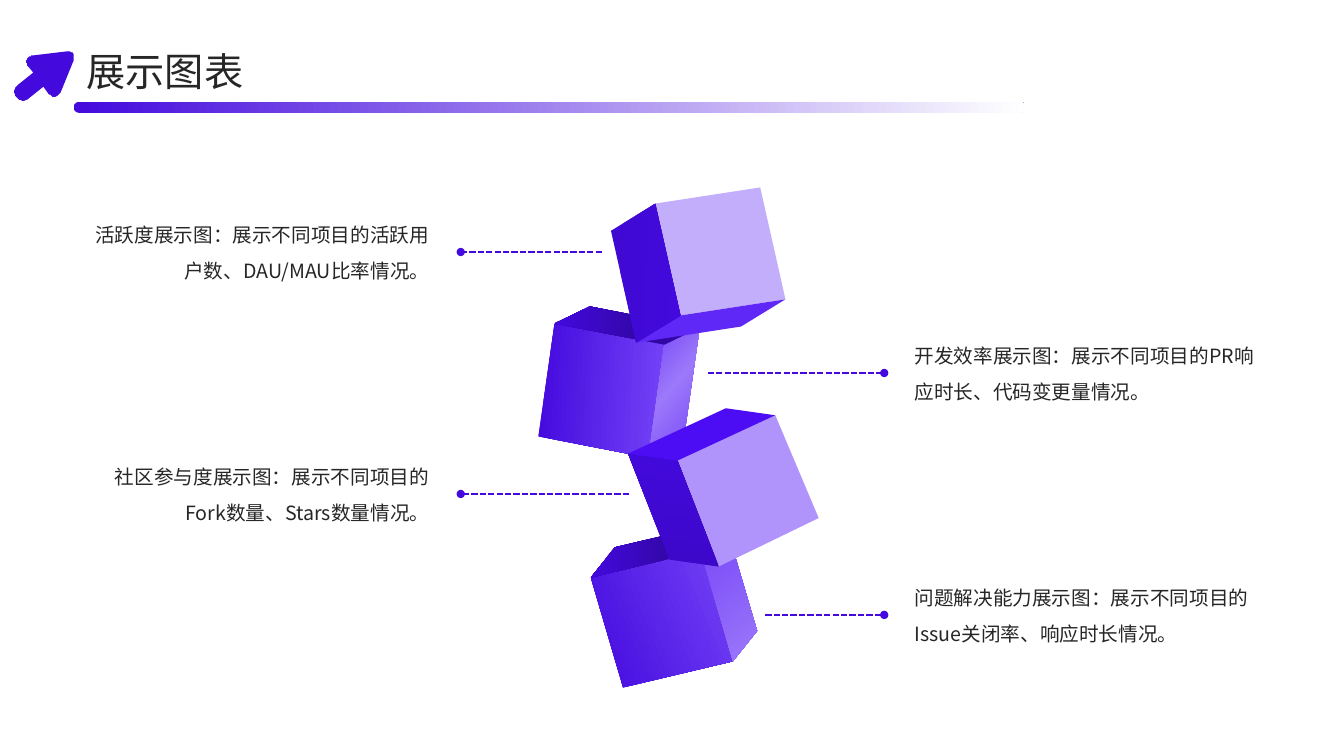
from lxml import etree
from pptx import Presentation
from pptx import util as u
from pptx.dml.color import RGBColor
from pptx.enum import dml, shapes, text
from pptx.oxml.ns import qn
from copy import deepcopy

PX = 9144
VIOLET, INK = "4309DD", "262626"
TITLE = "展示图表"
NOTES = [
    ("活跃度展示图：展示不同项目的活跃用户数、DAU/MAU比率情况。", 597),
    ("开发效率展示图：展示不同项目的PR响应时长、代码变更量情况。", 702),
    ("社区参与度展示图：展示不同项目的Fork数量、Stars数量情况。", 624),
    ("问题解决能力展示图：展示不同项目的Issue关闭率、响应时长情况。", 759),
]
FIRST_LEADER, NOTE_STEP, NOTE_RISE = 250, 120, 63
LEFT_SIDE = (76, 457, text.PP_ALIGN.RIGHT)
RIGHT_SIDE = (907, 877, text.PP_ALIGN.LEFT)

FRONT_FADE = [(0, VIOLET), (100, "7443F7")]
LID_FADE = [(39, "3207A6"), (100, VIOLET)]
CUBES = [
    {"front": [(695, 547), (727, 656), (618, 682), (586, 573)], "depth": (24, -30),
     "front_fill": (FRONT_FADE, 337),
     "sides": [(0, [(0, "7443F7"), (100, "9C78FA")], 52), (3, LID_FADE, 180)]},
    {"front": [(659, 342), (643, 454), (534, 433), (550, 321)], "depth": (35, -17),
     "front_fill": (FRONT_FADE, 3),
     "sides": [(0, [(0, "7443F7"), (54, "9C78FA"), (100, "7443F7")], 221),
               (3, LID_FADE, 180)]},
    {"front": [(754, 186), (779, 297), (675, 313), (650, 202)], "depth": (-44, 27),
     "front_fill": ("C3AEFC", 0),
     "sides": [(1, "6028F6", 0), (2, [(0, "4009D2"), (100, VIOLET)], 3)]},
    {"front": [(769, 412), (812, 514), (713, 562), (672, 457)], "depth": (-49, -7),
     "front_fill": ("B093FB", 0),
     "sides": [(2, [(0, "3C08C7"), (100, VIOLET)], 280), (3, "4C0DF5", 0)]},
]
ARROW_START = (27, 58)
ARROW_PARTS = [
    [(26, 60), (26, 62), (28, 66)], [(33, 72)], [(18, 84)],
    [(14, 87), (13, 92), (16, 96)], [(19, 100), (24, 101), (28, 98)],
    [(43, 86)], [(48, 93)], [(48, 93), (55, 100), (60, 92)], [(73, 60)],
    [(73, 60), (76, 50), (66, 51)], [(33, 55)], [(33, 55), (29, 56), (27, 58)],
]
CURVE_STEPS = 10


def px(*lengths):
    return [round(length * PX) for length in lengths]


def color(code):
    return RGBColor.from_string(code)


def paint(shape, fill, angle=0):
    shape.shadow.inherit = False
    shape.line.fill.background()
    if isinstance(fill, str):
        shape.fill.solid()
        shape.fill.fore_color.rgb = color(fill)
        return
    shape.fill.gradient()
    shape.fill.gradient_angle = (360 - angle) % 360
    stop_list = shape._element.spPr.find(".//" + qn("a:gsLst"))
    while len(stop_list) < len(fill):
        stop_list.append(deepcopy(stop_list[0]))
    for stop, (percent, code) in zip(shape.fill.gradient_stops, fill):
        stop.position = percent / 100
        stop.color.rgb = color(code)


def outline(slide, points, fill, angle=0):
    builder = slide.shapes.build_freeform(*points[0], scale=PX)
    builder.add_line_segments(points[1:], close=True)
    paint(builder.convert_to_shape(), fill, angle)


def curve(start, controls):
    points = [start, *controls]
    for step in range(1, CURVE_STEPS + 1):
        t = step / CURVE_STEPS
        weights = ((1 - t) ** 3, 3 * t * (1 - t) ** 2, 3 * t * t * (1 - t), t ** 3)
        yield tuple(round(sum(w * p[axis] for w, p in zip(weights, points)), 2)
                    for axis in (0, 1))


def draw_arrow(slide):
    points = [ARROW_START]
    for part in ARROW_PARTS:
        points += part if len(part) == 1 else list(curve(points[-1], part))
    outline(slide, points, VIOLET)


def draw_cube(slide, cube):
    front, (dx, dy) = cube["front"], cube["depth"]
    back = [(x + dx, y + dy) for x, y in front]
    outline(slide, front, *cube["front_fill"])
    for edge, fill, angle in cube["sides"]:
        after = (edge + 1) % 4
        outline(slide, [front[edge], back[edge], back[after], front[after]], fill, angle)


def write(box, words, size, face, spacing, align):
    frame = box.text_frame
    frame.text = words
    frame.word_wrap = True
    frame.auto_size = text.MSO_AUTO_SIZE.NONE
    frame.vertical_anchor = text.MSO_ANCHOR.MIDDLE
    frame.margin_left = frame.margin_right = frame.margin_top = frame.margin_bottom = 0
    paragraph = frame.paragraphs[0]
    paragraph.alignment = align
    paragraph.line_spacing = spacing
    paragraph.space_before = u.Pt(0)
    font = paragraph.runs[0].font
    font.size, font.name = u.Pt(size), face
    font.color.rgb = color(INK)
    etree.SubElement(font._element, qn("a:ea"), typeface=face)


def draw_leader(slide, start, end, y):
    leader = slide.shapes.add_connector(shapes.MSO_CONNECTOR.STRAIGHT, *px(start, y, end, y))
    leader.line.color.rgb = color(VIOLET)
    leader.line.width = u.Pt(1.5)
    leader.line.dash_style = dml.MSO_LINE.SQUARE_DOT
    properties = leader._element.spPr
    etree.SubElement(properties.find(qn("a:ln")), qn("a:tailEnd"), type="oval")
    etree.SubElement(properties, qn("a:effectLst"))


def main():
    """Build the slide of four stacked cubes with a note beside each."""
    deck = Presentation()
    deck.slide_width, deck.slide_height = px(1333, 750)
    slide = deck.slides.add_slide(deck.slide_layouts[5])

    title = slide.shapes.title
    title.left, title.top, title.width, title.height = px(86, 42, 1167, 51)
    write(title, TITLE, 28, "Noto Sans CJK SC", 1.1, text.PP_ALIGN.LEFT)

    underline = slide.shapes.add_shape(
        shapes.MSO_SHAPE.ROUNDED_RECTANGLE, *px(73, 101, 944, 11))
    underline.adjustments[0] = 0.5
    paint(underline, [(0, VIOLET), (100, "FFFFFF")])

    draw_arrow(slide)
    for cube in CUBES:
        draw_cube(slide, cube)

    for index, (note, leader_start) in enumerate(NOTES):
        left, leader_end, align = RIGHT_SIDE if index % 2 else LEFT_SIDE
        y = FIRST_LEADER + index * NOTE_STEP
        draw_leader(slide, leader_start, leader_end, y)
        note_box = slide.shapes.add_textbox(*px(left, y - NOTE_RISE, 350, 116))
        write(note_box, note, 14, "Noto Sans CJK JP", 1.5, align)

    deck.save("out.pptx")


if __name__ == "__main__":
    main()
